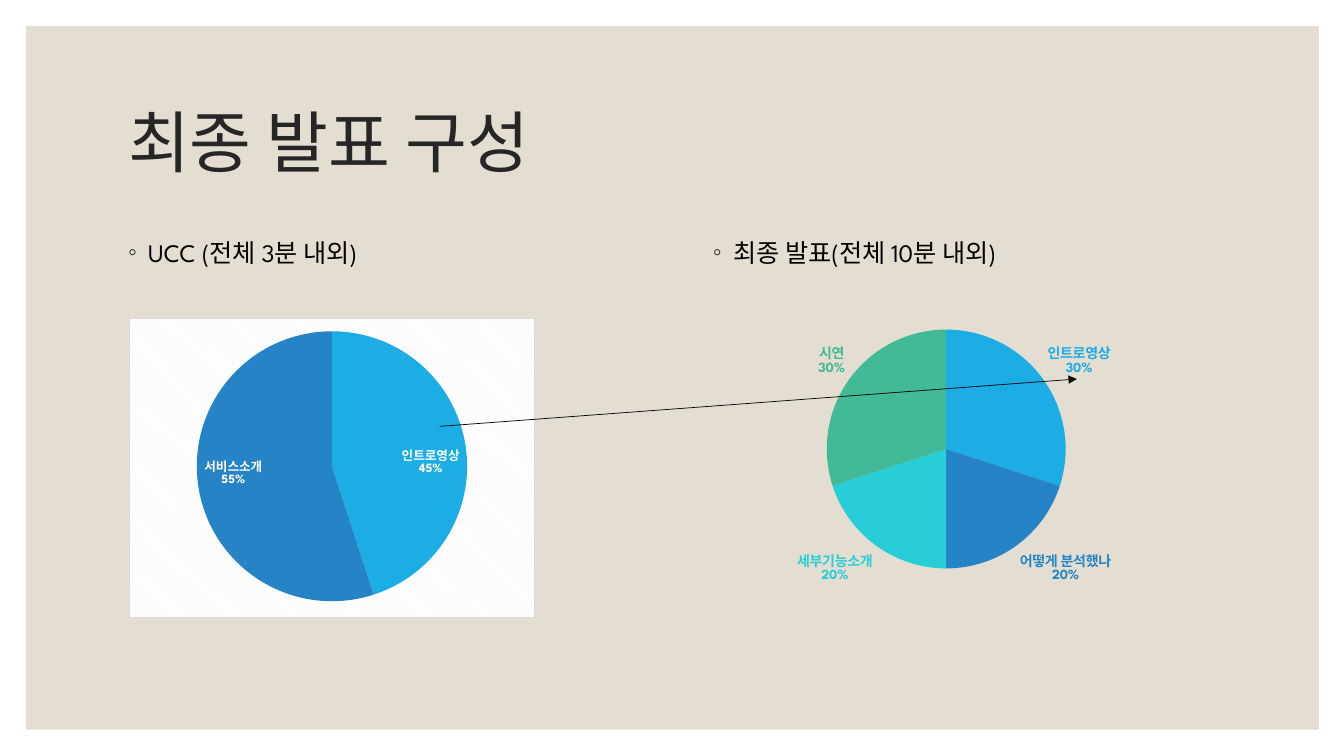
from lxml import etree
from pptx import Presentation, util as u
from pptx.chart.data import CategoryChartData
from pptx.dml.color import RGBColor
from pptx.enum import chart as ch, shapes, text
from pptx.oxml import parse_xml
from pptx.oxml.ns import nsdecls, qn

# Content
TITLE = "최종 발표 구성"
SECTIONS = [
    {
        "heading": "UCC (전체 3분 내외)",
        "heading_box": (1.17, 2.3, 5.2, 4.1),
        "chart_box": (1.28, 3.15, 4.03, 2.98),
        "pie": (1.95, 3.28, 2.69),  # left, top, diameter
        "shares": {"인트로영상": 45, "서비스소개": 55},
        "labels_inside": True,
        "framed": True,
    },
    {
        "heading": "최종 발표(전체 10분 내외)",
        "heading_box": (6.97, 2.3, 5.2, 4.1),
        "chart_box": (6.97, 3.03, 5, 3),
        "pie": (8.2, 3.27, 2.37),
        "shares": {"인트로영상": 30, "어떻게 분석했나": 20, "세부기능소개": 20, "시연": 30},
        "labels_inside": False,
        "framed": False,
    },
]
ARROW = (4.36, 4.23, 10.68, 3.76)


class Theme:
    font = "League Spartan"
    panel, title, ink, white = "E3DED1", "262626", "000000", "FFFFFF"
    stripe, border = "F2F2F2", "D9D9D9"
    slices = ["1CADE4", "2683C6", "27CED7", "42BA97"]
    title_size, body_size, label_size, inside_size = 48, 18, 10, 9


def rgb(value):
    return RGBColor.from_string(value)


def inches(values):
    return [u.Inches(value) for value in values]


def style_font(font, size, color, bold=False):
    font.name, font.size, font.bold = Theme.font, u.Pt(size), bold
    font.color.rgb = rgb(color)


def place(shape, box):
    shape.left, shape.top, shape.width, shape.height = inches(box)


def fill_heading(placeholder, section):
    place(placeholder, section["heading_box"])
    placeholder.text_frame.text = section["heading"]
    paragraph = placeholder.text_frame.paragraphs[0]
    paragraph.space_before = u.Pt(9)
    style_font(paragraph.runs[0].font, Theme.body_size, Theme.ink)
    properties = paragraph._p.get_or_add_pPr()
    properties.set("marL", str(u.Inches(0.2)))
    properties.set("indent", str(u.Inches(-0.2)))
    color = etree.SubElement(properties, qn("a:buClr"))
    etree.SubElement(color, qn("a:srgbClr")).set("val", Theme.title)
    etree.SubElement(properties, qn("a:buChar")).set("char", "◦")


def set_pie_area(chart, section):
    left, top, width, height = section["chart_box"]
    pie_left, pie_top, diameter = section["pie"]
    fractions = {"x": (pie_left - left) / width, "y": (pie_top - top) / height,
                 "w": diameter / width, "h": diameter / height}
    plot_area = chart._chartSpace.chart.plotArea
    for old in plot_area.findall(qn("c:layout")):
        plot_area.remove(old)
    layout = etree.Element(qn("c:layout"))
    manual = etree.SubElement(layout, qn("c:manualLayout"))
    settings = {"layoutTarget": "inner", "xMode": "edge", "yMode": "edge"}
    settings.update({name: f"{value:.3f}" for name, value in fractions.items()})
    for name, value in settings.items():
        etree.SubElement(manual, qn(f"c:{name}")).set("val", value)
    plot_area.insert(0, layout)


def frame_chart(chart):
    frame = parse_xml(
        f'<c:spPr {nsdecls("c", "a")}><a:pattFill prst="dkDnDiag">'
        f'<a:fgClr><a:srgbClr val="{Theme.stripe}"/></a:fgClr>'
        f'<a:bgClr><a:srgbClr val="{Theme.white}"/></a:bgClr></a:pattFill>'
        f'<a:ln w="{u.Pt(0.75)}"><a:solidFill><a:srgbClr val="{Theme.border}"/>'
        '</a:solidFill></a:ln></c:spPr>')
    chart._chartSpace.chart.addnext(frame)


def show_name_and_percent(element):
    """Two-line label: category name above its percentage."""
    for name, value in (("showVal", "0"), ("showCatName", "1"), ("showPercent", "1")):
        element.find(qn(f"c:{name}")).set("val", value)
    separator = etree.Element(qn("c:separator"))
    separator.text = "\n"
    last_flag = element.find(qn("c:showBubbleSize"))
    if last_flag is None:
        last_flag = element.find(qn("c:showPercent"))
    last_flag.addnext(separator)


def add_pie(slide, section):
    data = CategoryChartData()
    data.categories = list(section["shares"])
    data.add_series("Series 1", list(section["shares"].values()))
    chart = slide.shapes.add_chart(
        ch.XL_CHART_TYPE.PIE, *inches(section["chart_box"]), data).chart
    chart.has_legend = chart.has_title = False
    style_font(chart.font, Theme.label_size, Theme.ink)
    chart.plots[0].vary_by_categories = True
    set_pie_area(chart, section)
    if section["framed"]:
        frame_chart(chart)

    # Slices and their labels
    inside = section["labels_inside"]
    position = ch.XL_LABEL_POSITION.INSIDE_END if inside else ch.XL_LABEL_POSITION.OUTSIDE_END
    size = Theme.inside_size if inside else Theme.label_size
    series = chart.plots[0].series[0]
    labels = series.data_labels
    labels.number_format, labels.number_format_is_linked = "0%", False
    labels.position = position
    show_name_and_percent(labels._element)
    for index, color in enumerate(Theme.slices[:len(section["shares"])]):
        point = series.points[index]
        point.format.fill.solid()
        point.format.fill.fore_color.rgb = rgb(color)
        label = point.data_label
        style_font(label.font, size, Theme.white if inside else color, bold=True)
        label.position = position
        element = labels._element.findall(qn("c:dLbl"))[index]
        number_format = etree.Element(qn("c:numFmt"), formatCode="0%", sourceLinked="0")
        element.find(qn("c:idx")).addnext(number_format)
        show_name_and_percent(element)


def add_panel(slide):
    panel = slide.shapes.add_shape(
        shapes.MSO_SHAPE.RECTANGLE, *inches((0.26, 0.26, 12.82, 6.98)))
    panel.shadow.inherit = False
    panel.fill.solid()
    panel.fill.fore_color.rgb = rgb(Theme.panel)
    panel.line.fill.background()
    slide.shapes._spTree.insert(2, panel._element)


def add_arrow(slide):
    arrow = slide.shapes.add_connector(shapes.MSO_CONNECTOR.STRAIGHT, *inches(ARROW))
    arrow.line.color.rgb = rgb(Theme.ink)
    arrow.line.width = u.Pt(0.5)
    etree.SubElement(arrow.line._get_or_add_ln(), qn("a:tailEnd")).set("type", "triangle")
    etree.SubElement(arrow._element.spPr, qn("a:effectLst"))


def main():
    presentation = Presentation()
    presentation.slide_width, presentation.slide_height = inches((13.33, 7.5))
    slide = presentation.slides.add_slide(presentation.slide_layouts[3])
    add_panel(slide)

    # Title
    title = slide.shapes.title
    place(title, (1.17, 0.7, 11, 1.5))
    title.text_frame.text = TITLE
    title.text_frame.vertical_anchor = text.MSO_ANCHOR.MIDDLE
    paragraph = title.text_frame.paragraphs[0]
    paragraph.alignment = text.PP_ALIGN.LEFT
    paragraph.line_spacing = 0.9
    style_font(paragraph.runs[0].font, Theme.title_size, Theme.title)

    # Headings and pies
    for index, section in enumerate(SECTIONS, start=1):
        fill_heading(slide.placeholders[index], section)
        add_pie(slide, section)

    add_arrow(slide)
    presentation.save("out.pptx")


if __name__ == "__main__":
    main()
